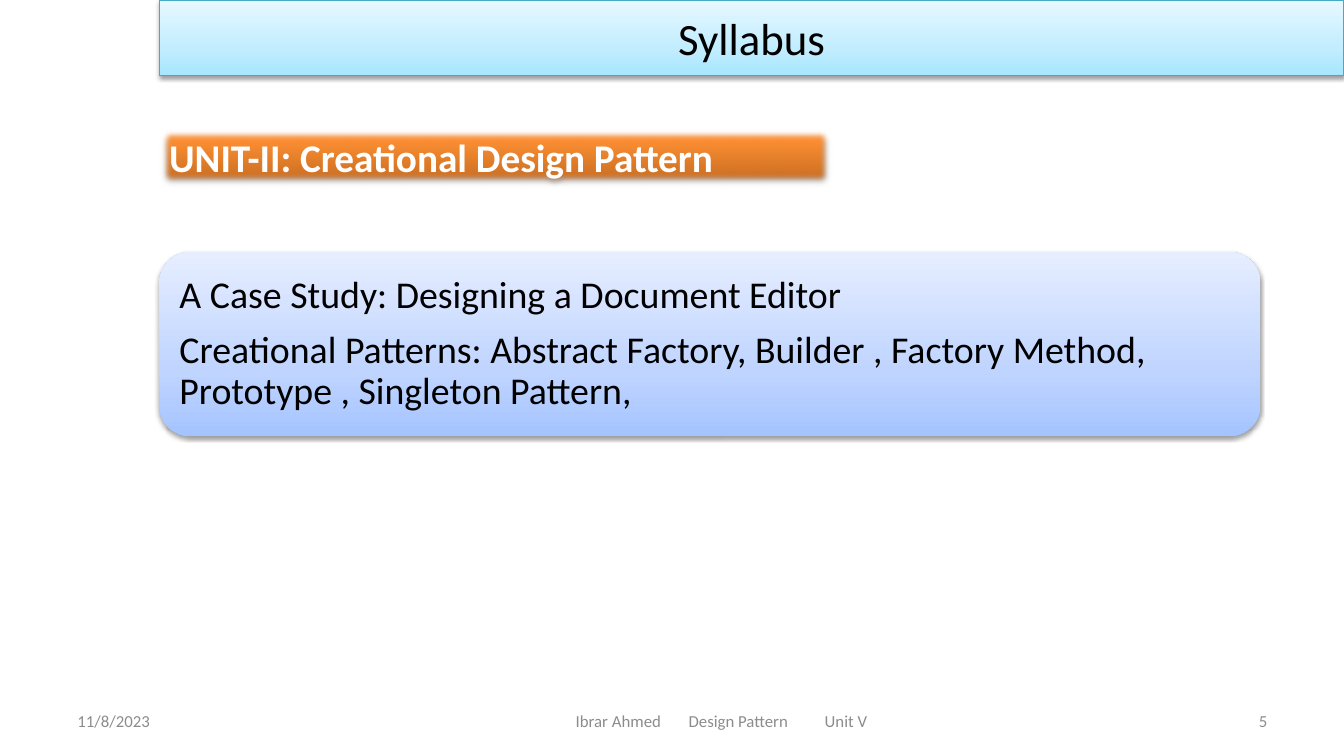
"""Build the Syllabus slide for the creational design pattern unit."""
from lxml.etree import SubElement
from pptx import Presentation
from pptx.dml.color import RGBColor
from pptx.enum.shapes import MSO_SHAPE
from pptx.enum.text import MSO_ANCHOR, MSO_AUTO_SIZE, PP_ALIGN
from pptx.oxml.ns import qn
from pptx.util import Inches, Pt

COLORS = {"text": "000000", "light": "FFFFFF", "muted": "8C8C8C", "edge": "46AAC5"}
GRADIENTS = {
    "cyan": {0: "A7E6FF", 35: "C1EDFF", 100: "E7F8FF"},
    "orange": {0: "C2691F", 80: "FF9034", 100: "FF9136"},
    "blue": {0: "A4C4FF", 35: "BFD4FF", 100: "E6EEFF"},
}
TOPICS = [
    "A Case Study: Designing a Document Editor",
    "Creational Patterns: Abstract Factory, Builder , Factory Method, "
    "Prototype , Singleton Pattern,",
]


def place(sp, left, top, width, height):
    """Move and size a shape, in inches."""
    sp.left, sp.top = Inches(left), Inches(top)
    sp.width, sp.height = Inches(width), Inches(height)


def add_color(parent, color, alpha=100):
    """Add a colour element with an opacity in percent."""
    clr = SubElement(parent, qn("a:srgbClr"), val=color)
    if alpha < 100:
        SubElement(clr, qn("a:alpha"), val=str(alpha * 1000))


def paint(sp, gradient, edge=None, alpha=38, distance=1.6, soft=0):
    """Give a shape a vertical gradient, an outline and a drop shadow."""
    sp.fill.gradient()
    sp.fill.gradient_angle = 90
    stops = next(sp.element.spPr.iter(qn("a:gsLst")))
    for stop in list(stops):
        stops.remove(stop)
    for pos, color in GRADIENTS[gradient].items():
        add_color(SubElement(stops, qn("a:gs"), pos=str(pos * 1000)), color)
    if edge:
        sp.line.color.rgb = RGBColor.from_string(COLORS[edge])
        sp.line.width = Pt(0.75)
    else:
        sp.line.fill.background()
    sp.shadow.inherit = False
    effects = sp.element.spPr.find(qn("a:effectLst"))
    shadow = SubElement(effects, qn("a:outerShdw"), blurRad=str(Pt(3.1)),
                        dist=str(Pt(distance)), dir="5400000", rotWithShape="0")
    add_color(shadow, "000000", alpha)
    if soft:
        SubElement(effects, qn("a:softEdge"), rad=str(Pt(soft)))


def write(sp, text, size, color, align=PP_ALIGN.LEFT, bold=False, anchor=MSO_ANCHOR.MIDDLE):
    """Set the text of a shape and format its paragraphs and runs."""
    tf = sp.text_frame
    tf.text = text
    tf.word_wrap = True
    tf.auto_size = MSO_AUTO_SIZE.NONE
    tf.vertical_anchor = anchor
    for p in tf.paragraphs:
        p.alignment = align
        for r in p.runs:
            r.font.name, r.font.size, r.font.bold = "Calibri", Pt(size), bold
            r.font.color.rgb = RGBColor.from_string(COLORS[color])
    return tf


def add_panel(s, kind, box, gradient, **effects):
    """Add a gradient panel."""
    sp = s.shapes.add_shape(kind, *map(Inches, box))
    paint(sp, gradient, **effects)
    return sp


def add_footer(s, text, left, width, align=PP_ALIGN.LEFT):
    """Add one small grey text in the footer row."""
    sp = s.shapes.add_textbox(Inches(left), Inches(6.95), Inches(width), Inches(0.4))
    return write(sp, text, 12, "muted", align)


def set_tabs(p, stops):
    """Add left tab stops, in inches, to a paragraph."""
    tabs = SubElement(p._p.get_or_add_pPr(), qn("a:tabLst"))
    for stop in stops:
        SubElement(tabs, qn("a:tab"), pos=str(Inches(stop)), algn="l")


def fill_topics(body):
    """Write the topics as an unbulleted list."""
    place(body, 1.67, 2.59, 10.74, 1.65)
    tf = write(body, "\n".join(TOPICS), 27, "text")
    tf.margin_left = tf.margin_right = tf.margin_top = tf.margin_bottom = Inches(0.11)
    for p in tf.paragraphs:
        p.line_spacing, p.space_before, p.space_after = 0.9, Pt(0), Pt(10.5)
        pPr = p._p.get_or_add_pPr()
        pPr.set("marL", "0")
        pPr.set("indent", "0")
        SubElement(pPr, qn("a:buNone"))


def main():
    """Build and save the slide."""
    prs = Presentation()
    prs.slide_width, prs.slide_height = Inches(13.33), Inches(7.5)
    s = prs.slides.add_slide(prs.slide_layouts[1])
    title, body = s.shapes.title, s.placeholders[1]

    place(title, 1.58, 0, 11.75, 0.75)
    paint(title, "cyan", edge="edge")
    write(title, "Syllabus", 32, "text", PP_ALIGN.CENTER)

    unit = add_panel(s, MSO_SHAPE.RECTANGLE, (1.58, 1.27, 6.67, 0.57), "orange",
                     alpha=35, distance=1.8, soft=5)
    write(unit, "UNIT-II: Creational Design Pattern", 28, "light",
          bold=True, anchor=MSO_ANCHOR.TOP)

    panel = add_panel(s, MSO_SHAPE.ROUNDED_RECTANGLE, (1.58, 2.5, 10.92, 1.83), "blue")
    panel.element.addnext(body.element)
    fill_topics(body)

    add_footer(s, "11/8/2023", 0.67, 3.11)
    add_footer(s, "5", 9.56, 3.11, PP_ALIGN.RIGHT)
    tf = add_footer(s, "Ibrar Ahmed\tDesign Pattern\tUnit V", 4.42, 5.5)
    tf.margin_left = Inches(1.29)
    set_tabs(tf.paragraphs[0], (1.12, 2.47))
    prs.save("out.pptx")


if __name__ == "__main__":
    main()
